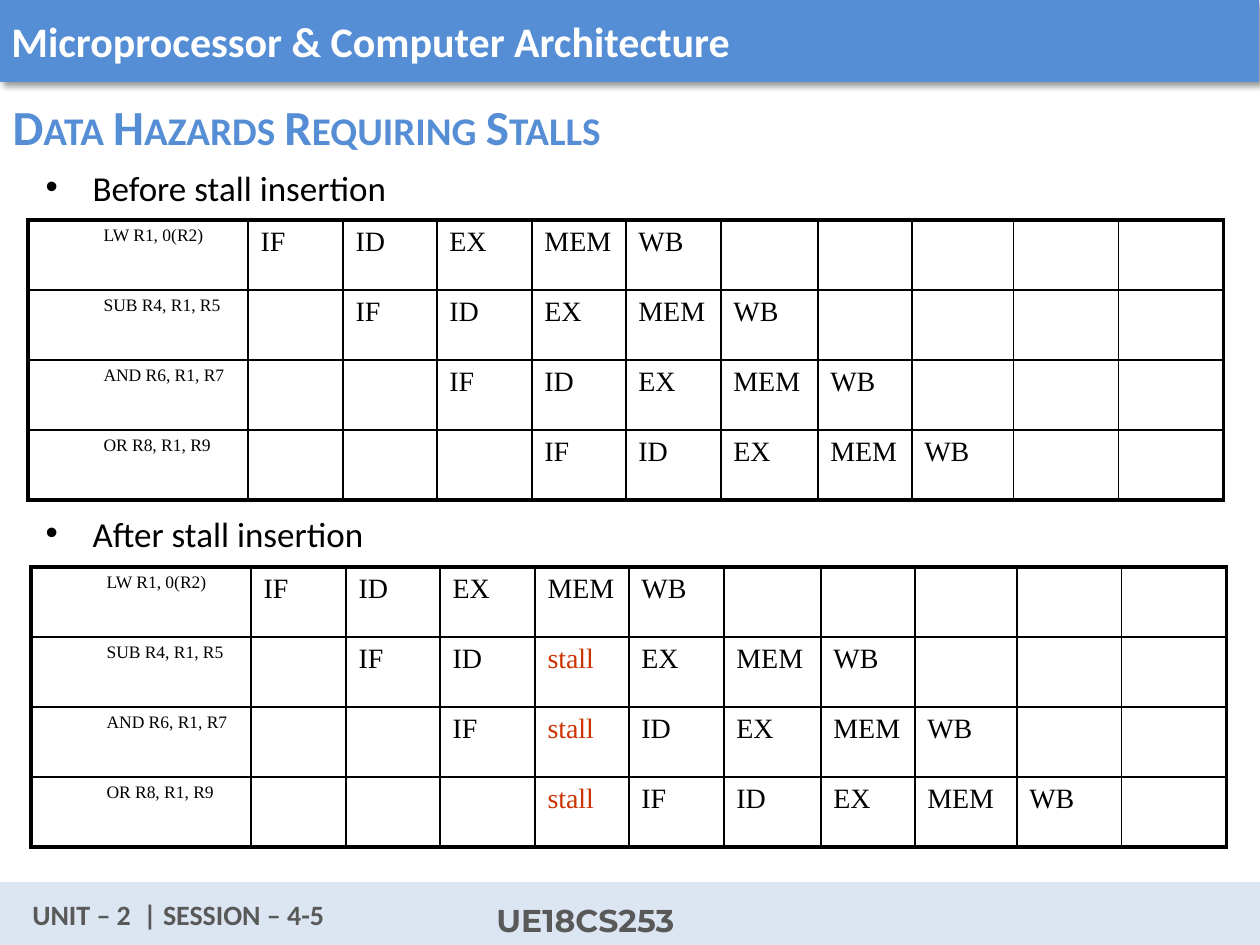
import pptx
import pptx.dml.color
import pptx.enum.shapes
import pptx.enum.text
import pptx.oxml
import pptx.oxml.ns
import pptx.util

SCALE = 914400 / 126  # EMU per px
NS = pptx.oxml.ns.nsdecls("a")
BLUE, PALE, GREY, RED = "558ED5", "DCE6F2", "595959", "CC3300"


def px(*values):
    return [pptx.util.Emu(round(v * SCALE)) for v in values]


def style(p, size, font, color, bold=False):
    for r in p.runs:
        r.font.size = pptx.util.Pt(size)
        r.font.name = font
        r.font.bold = bold
        r.font.color.rgb = pptx.dml.color.RGBColor.from_string(color)


prs = pptx.Presentation()
prs.slide_width, prs.slide_height = px(1260, 945)
s = prs.slides.add_slide(prs.slide_layouts[3])

# Header and footer bands
bands = []
for box, color in [((-1, -1, 1260, 83), BLUE), ((0, 882, 1260, 63), PALE)]:
    sp = s.shapes.add_shape(pptx.enum.shapes.MSO_SHAPE.RECTANGLE, *px(*box))
    sp.fill.solid()
    sp.fill.fore_color.rgb = pptx.dml.color.RGBColor.from_string(color)
    sp.line.fill.background()
    sp.shadow.inherit = False
    bands.append(sp)
header = bands[0]
effects = header._element.spPr.find(pptx.oxml.ns.qn("a:effectLst"))
effects.append(pptx.oxml.parse_xml(
    f'<a:outerShdw {NS} blurRad="50800" dist="38100" dir="2700000" algn="tl" rotWithShape="0">'
    '<a:srgbClr val="000000"><a:alpha val="40000"/></a:srgbClr></a:outerShdw>'))
tf = header.text_frame
tf.text = "Microprocessor & Computer Architecture"
tf.vertical_anchor = pptx.enum.text.MSO_ANCHOR.MIDDLE
tf.paragraphs[0].alignment = pptx.enum.text.PP_ALIGN.LEFT
style(tf.paragraphs[0], 24, "Calibri", "FFFFFF", True)

# Footer labels
for box, text, size, font in [
    ((20, 891, 412, 45), "UNIT – 2  | SESSION – 4-5", 16, "Calibri"),
    ((484, 895, 227, 50), "UE18CS253", 18, "Montserrat"),
]:
    tf = s.shapes.add_textbox(*px(*box)).text_frame
    tf.text = text
    tf.word_wrap = False
    style(tf.paragraphs[0], size, font, GREY, True)

# Title
title = s.shapes.title
title.left, title.top, title.width, title.height = px(0, 84, 1038, 83)
tf = title.text_frame
tf.text = "Data Hazards Requiring Stalls"
tf.auto_size = pptx.enum.text.MSO_AUTO_SIZE.NONE
tf.vertical_anchor = pptx.enum.text.MSO_ANCHOR.MIDDLE
p = tf.paragraphs[0]
p.alignment = pptx.enum.text.PP_ALIGN.LEFT
style(p, 28, "Calibri", BLUE, True)
p.runs[0].font._element.set("cap", "small")

# Bulleted captions above the tables
for sp, top, text in [
    (s.placeholders[1], 168, "Before stall insertion"),
    (s.placeholders[2], 514, "After stall insertion"),
]:
    sp.left, sp.top, sp.width, sp.height = px(32, top, 1260, 52)
    tf = sp.text_frame
    tf.text = text
    tf.auto_size = pptx.enum.text.MSO_AUTO_SIZE.NONE
    p = tf.paragraphs[0]
    p.line_spacing = 0.8
    p.space_before = pptx.util.Pt(0)
    pPr = p._p.get_or_add_pPr()
    indent, hang = px(48, -47)
    pPr.set("marL", str(indent))
    pPr.set("indent", str(hang))
    pPr.append(pptx.oxml.parse_xml(f'<a:buClr {NS}><a:srgbClr val="000000"/></a:buClr>'))
    pPr.append(pptx.oxml.parse_xml(f'<a:buChar {NS} char="•"/>'))
    style(p, 20, "Calibri", "000000")

# Pipeline tables: one instruction a row, one clock cycle a column
COLS = [220, 95, 94, 95, 94, 95, 97, 94, 102, 105, 105]
ROW_H = 70
INSTRUCTIONS = ["LW R1, 0(R2)", "SUB R4, R1, R5", "AND R6, R1, R7", "OR R8, R1, R9"]
STAGES = ["IF", "ID", "EX", "MEM", "WB"]
STALL_CYCLE = 4

for left, top, stalled in [(28, 220, False), (31, 567, True)]:
    n_rows, n_cols = len(INSTRUCTIONS), len(COLS)
    table = s.shapes.add_table(
        n_rows, n_cols, *px(left, top, sum(COLS), ROW_H * n_rows)).table
    table.first_row = table.horz_banding = False
    for col, width in zip(table.columns, px(*COLS)):
        col.width = width
    for i, instruction in enumerate(INSTRUCTIONS):
        table.rows[i].height = px(ROW_H)[0]
        # Each instruction starts one cycle after the previous one
        row = [instruction] + [""] * i + STAGES
        if stalled and i > 0:
            row.insert(STALL_CYCLE, "stall")
        row += [""] * (n_cols - len(row))
        for j, text in enumerate(row):
            cell = table.cell(i, j)
            cell.fill.background()
            p = cell.text_frame.paragraphs[0]
            if text:
                p.text = text
                style(p, 16 if j else 10, "Times New Roman", RED if text == "stall" else "000000")
            if j == 0:
                p._p.get_or_add_pPr().set("marL", str(px(63)[0]))
            # Thick outer frame, thin inner grid
            edges = [("lnL", j == 0), ("lnR", j == n_cols - 1),
                     ("lnT", i == 0), ("lnB", i == n_rows - 1)]
            tcPr = cell._tc.get_or_add_tcPr()
            for k, (tag, outer) in enumerate(edges):
                width = pptx.util.Pt(2.21 if outer else 0.96)
                tcPr.insert(k, pptx.oxml.parse_xml(
                    f'<a:{tag} {NS} w="{width}"><a:solidFill><a:srgbClr val="000000"/>'
                    f'</a:solidFill></a:{tag}>'))

prs.save("out.pptx")
